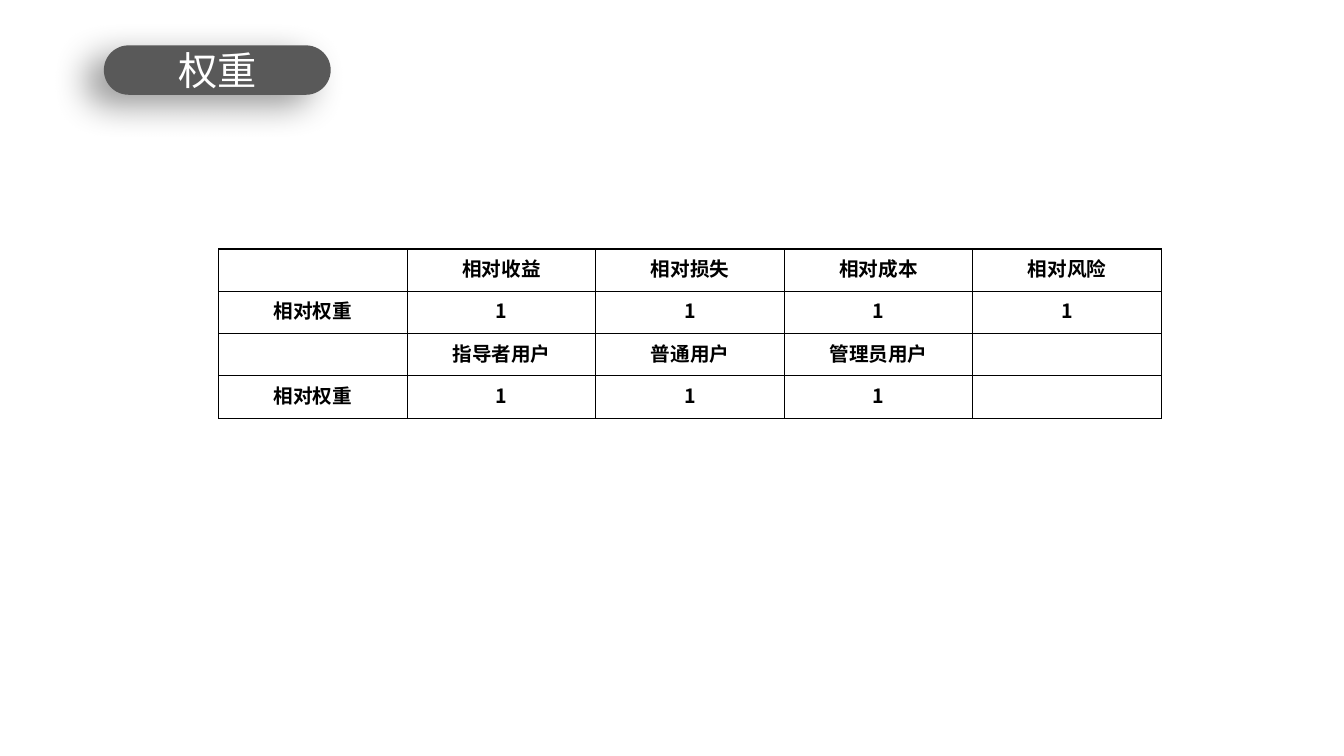
import pptx
import pptx.dml.color
import pptx.enum.shapes
import pptx.enum.text
import pptx.oxml
import pptx.oxml.ns
import pptx.util
from pptx.util import Inches

# Content
HEADING = "权重"
WEIGHTS = [
    ["", "相对收益", "相对损失", "相对成本", "相对风险"],
    ["相对权重", "1", "1", "1", "1"],
    ["", "指导者用户", "普通用户", "管理员用户", ""],
    ["相对权重", "1", "1", "1", ""],
]

# Layout in inches
PILL = (1.03, 0.45, 2.25, 0.49)
TABLE_LEFT, TABLE_TOP = 2.17, 2.47
COLUMN_WIDTH, ROW_HEIGHT = 1.87, 0.42
CJK_FONT = "Noto Sans CJK SC"
MIDDLE = pptx.enum.text.MSO_ANCHOR.MIDDLE
NAMESPACE = pptx.oxml.ns.nsdecls("a")


def rgb(value):
    return pptx.dml.color.RGBColor.from_string(value)


def add_text(paragraph, text, size, latin, color, bold):
    paragraph.alignment = pptx.enum.text.PP_ALIGN.CENTER
    run = paragraph.add_run()
    run.text = text
    run.font.size = pptx.util.Pt(size)
    run.font.name = latin
    run.font.bold = bold
    run.font.color.rgb = rgb(color)
    run.font._element.append(pptx.oxml.parse_xml(
        f'<a:ea {NAMESPACE} typeface="{CJK_FONT}"/>'))


def add_borders(cell, color, points):
    properties = cell._tc.get_or_add_tcPr()
    for side in "LRTB":
        properties.append(pptx.oxml.parse_xml(
            f'<a:ln{side} {NAMESPACE} w="{pptx.util.Pt(points)}"><a:solidFill>'
            f'<a:srgbClr val="{color}"/></a:solidFill></a:ln{side}>'))


def add_shadow(shape, color, alpha, blur, distance, angle):
    shape.shadow.inherit = False
    effects = shape._element.spPr.find(pptx.oxml.ns.qn("a:effectLst"))
    effects.append(pptx.oxml.parse_xml(
        f'<a:outerShdw {NAMESPACE} blurRad="{pptx.util.Pt(blur)}" '
        f'dist="{pptx.util.Pt(distance)}" dir="{angle * 60000}" '
        f'algn="ctr" rotWithShape="0"><a:srgbClr val="{color}">'
        f'<a:alpha val="{alpha * 1000}"/></a:srgbClr></a:outerShdw>'))


def add_heading(slide):
    box = [Inches(length) for length in PILL]
    pill = slide.shapes.add_shape(
        pptx.enum.shapes.MSO_SHAPE.ROUNDED_RECTANGLE, *box)
    pill.adjustments[0] = 0.5
    pill.fill.solid()
    pill.fill.fore_color.rgb = rgb("595959")
    pill.line.fill.background()
    add_shadow(pill, "000000", alpha=40, blur=25, distance=15, angle=150)

    # The title lies on the pill, so it moves to the front
    title = slide.shapes.title
    title.left, title.top, title.width, title.height = box
    slide.shapes._spTree.append(title._element)
    frame = title.text_frame
    frame.auto_size = pptx.enum.text.MSO_AUTO_SIZE.NONE
    frame.word_wrap = True
    frame.vertical_anchor = MIDDLE
    add_text(frame.paragraphs[0], HEADING, 28, "Calibri", "FFFFFF", False)


def add_weights(slide):
    rows, columns = len(WEIGHTS), len(WEIGHTS[0])
    table = slide.shapes.add_table(
        rows, columns, Inches(TABLE_LEFT), Inches(TABLE_TOP),
        Inches(columns * COLUMN_WIDTH), Inches(rows * ROW_HEIGHT)).table
    table.first_row = table.horz_banding = False
    for column in table.columns:
        column.width = Inches(COLUMN_WIDTH)
    for row, labels in zip(table.rows, WEIGHTS):
        row.height = Inches(ROW_HEIGHT)
        for cell, label in zip(row.cells, labels):
            cell.margin_left = cell.margin_right = cell.margin_top = Inches(0.01)
            cell.margin_bottom = Inches(0.05)
            cell.vertical_anchor = MIDDLE
            add_borders(cell, "000000", 1)
            cell.fill.background()
            if label:
                add_text(cell.text_frame.paragraphs[0], label, 14,
                         CJK_FONT, "000000", True)


def main():
    deck = pptx.Presentation()
    deck.slide_width, deck.slide_height = Inches(13.33), Inches(7.5)
    slide = deck.slides.add_slide(deck.slide_layouts.get_by_name("Title Only"))
    slide.background.fill.solid()
    slide.background.fill.fore_color.rgb = rgb("FFFFFF")
    add_heading(slide)
    add_weights(slide)
    deck.save("out.pptx")


if __name__ == "__main__":
    main()
